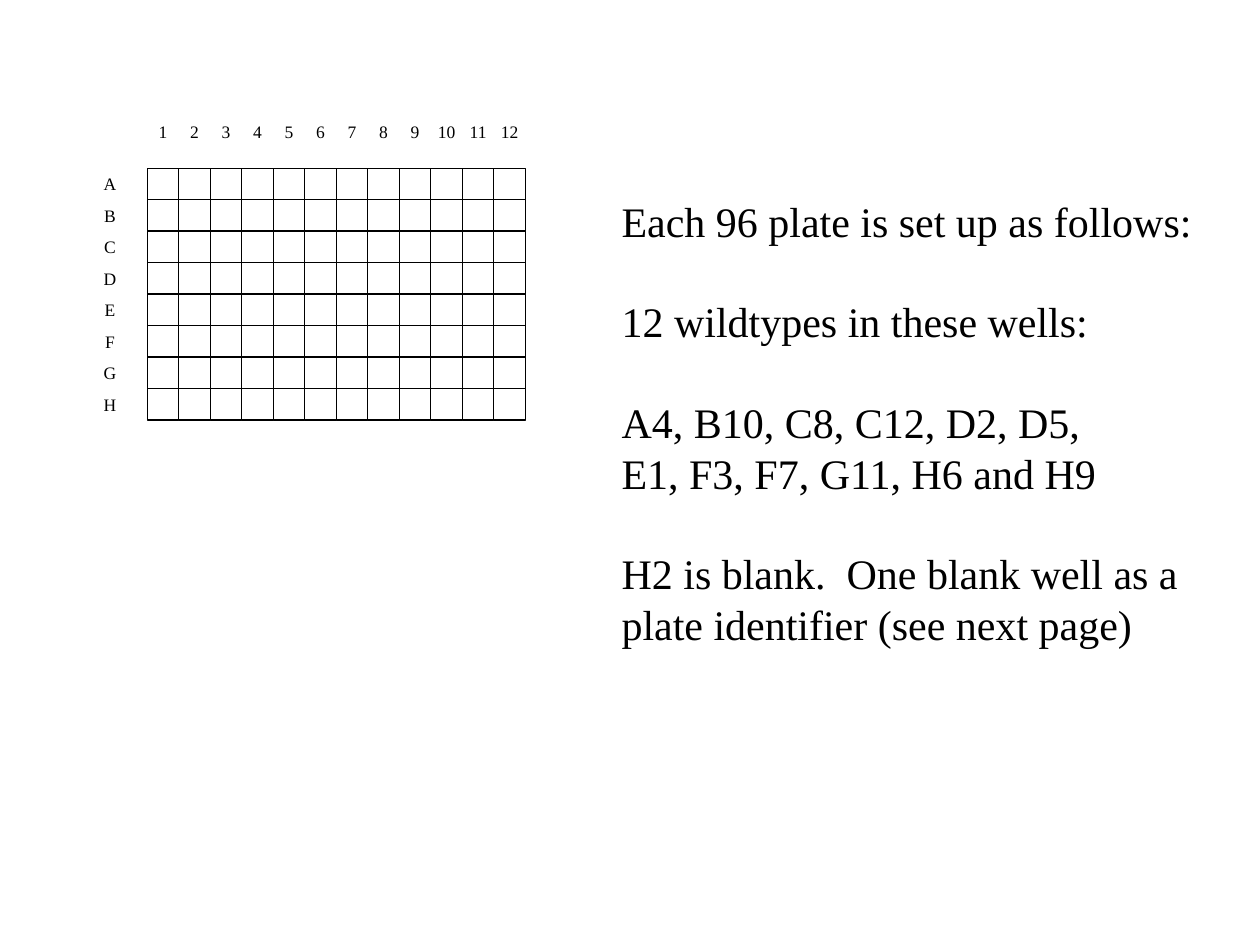
from pptx import Presentation
from pptx.dml.color import RGBColor
from pptx.enum.shapes import MSO_SHAPE
from pptx.enum.text import MSO_ANCHOR, MSO_AUTO_SIZE, PP_ALIGN
from pptx.util import Cm, Pt

COLORS = {"ink": "000000"}
FONT = "Times New Roman"
ROWS = "ABCDEFGH"
COLUMNS = range(1, 13)
PLATE_LEFT, PLATE_TOP = Cm(2.97), Cm(3.39)
WELL = Cm(7.62) // len(COLUMNS)
COLUMN_LABEL_TOP, ROW_LABEL_LEFT = Cm(2.33), Cm(1.9)

LABEL_FRAME = {
    "word_wrap": False,
    "vertical_anchor": MSO_ANCHOR.MIDDLE,
    "margin_left": 0,
    "margin_right": 0,
}
LABEL_PARAGRAPH = {"alignment": PP_ALIGN.CENTER}
NOTES_FRAME = {"word_wrap": False, "auto_size": MSO_AUTO_SIZE.SHAPE_TO_FIT_TEXT}
LINE_HEIGHT = Pt(28.8)
NOTES_PARAGRAPH = {"alignment": PP_ALIGN.LEFT, "line_spacing": LINE_HEIGHT}
NOTES = [
    ["Each 96 plate is set up as follows:"],
    ["12 wildtypes in these wells:"],
    ["A4, B10, C8, C12, D2, D5,", "E1, F3, F7, G11, H6 and H9"],
    ["H2 is blank.  One blank well as a", "plate identifier (see next page)"],
]


def apply_format(target, values):
    for name, value in values.items():
        setattr(target, name, value)


def write_text(paragraph, text, size, paragraph_format):
    apply_format(paragraph, paragraph_format)
    run = paragraph.add_run()
    run.text = text
    apply_format(run.font, {"name": FONT, "size": Pt(size)})
    run.font.color.rgb = RGBColor.from_string(COLORS["ink"])


def add_well(slide, left, top):
    shape = slide.shapes.add_shape(MSO_SHAPE.RECTANGLE, left, top, WELL, WELL)
    shape.shadow.inherit = False
    shape.fill.background()
    shape.line.color.rgb = RGBColor.from_string(COLORS["ink"])
    shape.line.width = Pt(0.75)


def add_label(slide, text, left, top):
    text_frame = slide.shapes.add_textbox(left, top, WELL, WELL).text_frame
    apply_format(text_frame, LABEL_FRAME)
    write_text(text_frame.paragraphs[0], text, 10, LABEL_PARAGRAPH)


def add_plate(slide):
    lefts = [PLATE_LEFT + index * WELL for index in range(len(COLUMNS))]
    tops = [PLATE_TOP + index * WELL for index in range(len(ROWS))]
    for left in lefts:
        for top in tops:
            add_well(slide, left, top)
    for number, left in zip(COLUMNS, lefts):
        add_label(slide, str(number), left, COLUMN_LABEL_TOP)
    for letter, top in zip(ROWS, tops):
        add_label(slide, letter, ROW_LABEL_LEFT, top)


def add_notes(slide):
    """Write the groups of lines, one line height apart."""
    box = slide.shapes.add_textbox(Cm(12.28), Cm(3.81), Cm(12.1), Cm(9.4))
    text_frame = box.text_frame
    apply_format(text_frame, NOTES_FRAME)
    paragraph = text_frame.paragraphs[0]
    for group_index, lines in enumerate(NOTES):
        for line_index, line in enumerate(lines):
            if group_index or line_index:
                paragraph = text_frame.add_paragraph()
            starts_group = group_index > 0 and line_index == 0
            gap = LINE_HEIGHT if starts_group else Pt(0)
            write_text(paragraph, line, 24, {**NOTES_PARAGRAPH, "space_before": gap})


def main():
    presentation = Presentation()
    apply_format(presentation, {"slide_width": Cm(25.4), "slide_height": Cm(19.05)})
    slide = presentation.slides.add_slide(presentation.slide_layouts[6])
    add_plate(slide)
    add_notes(slide)
    presentation.save("out.pptx")


if __name__ == "__main__":
    main()
